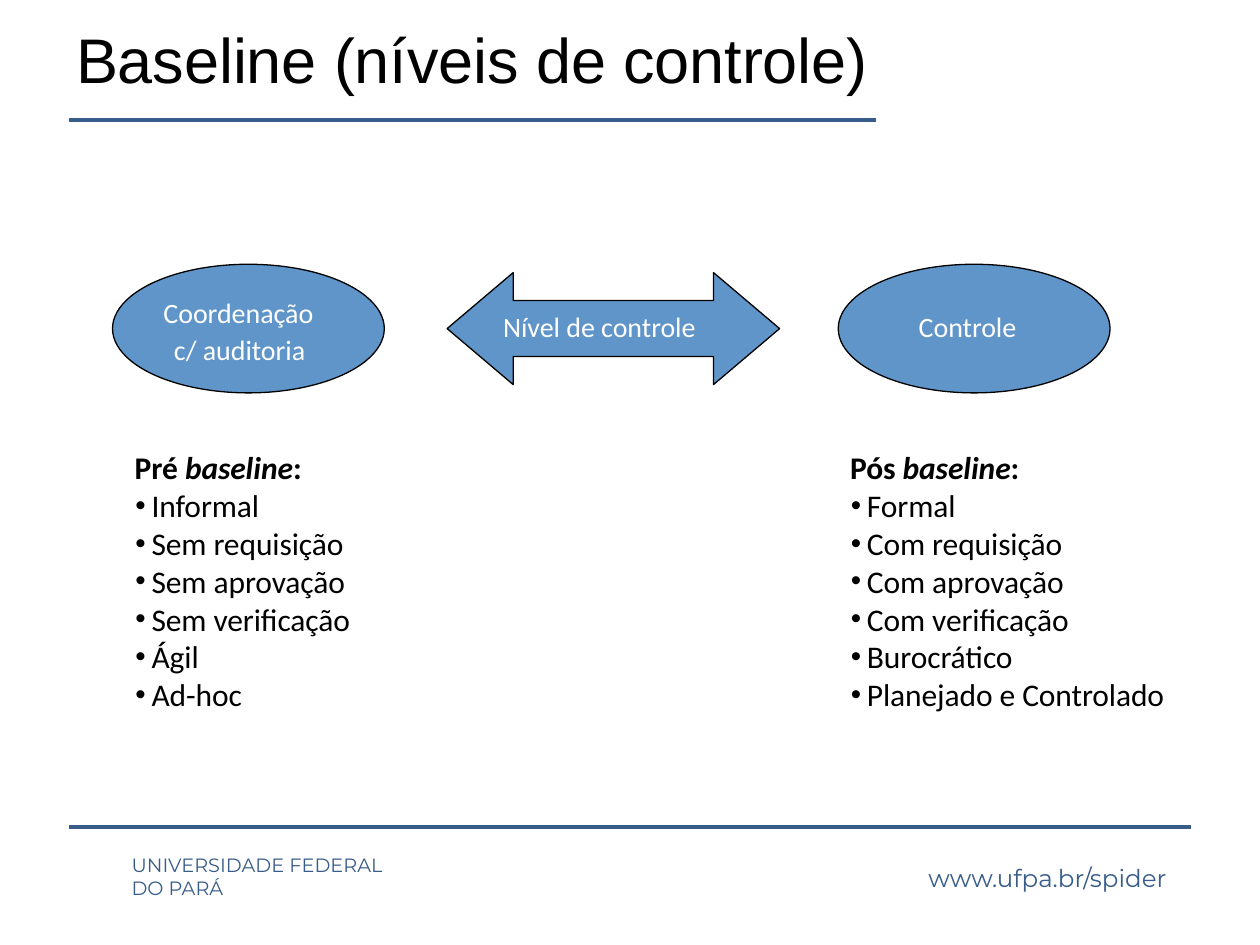
from dataclasses import dataclass

from lxml.etree import SubElement
from pptx import Presentation
from pptx.dml.color import RGBColor
from pptx.enum.shapes import MSO_CONNECTOR, MSO_SHAPE
from pptx.enum.text import MSO_ANCHOR
from pptx.oxml.ns import qn
from pptx.util import Pt


@dataclass(frozen=True)
class Theme:
    ink: str = "000000"
    paper: str = "FFFFFF"
    rule: str = "385D8A"
    fill: str = "6095C9"
    head: str = "Arial"
    body: str = "Calibri"
    foot: str = "Montserrat"
    title: float = 36
    item: float = 18
    label: float = 16
    link: float = 14
    small: float = 11
    thick: float = 2.5
    thin: float = 0.75


class Deck:
    def __init__(self, theme):
        self.theme = theme
        self.file = Presentation()
        self.file.slide_width, self.file.slide_height = Pt(720), Pt(540)
        self.slide = self.file.slides.add_slide(self.file.slide_layouts[6])

    def rule(self, left, right, y):
        line = self.slide.shapes.add_connector(
            MSO_CONNECTOR.STRAIGHT, Pt(left), Pt(y), Pt(right), Pt(y))
        line.line.color.rgb = RGBColor.from_string(self.theme.rule)
        line.line.width = Pt(self.theme.thick)
        SubElement(line._element.spPr, qn("a:effectLst"))

    def shape(self, kind, left, top, width, height):
        shape = self.slide.shapes.add_shape(
            kind, Pt(left), Pt(top), Pt(width), Pt(height))
        shape.shadow.inherit = False
        shape.fill.solid()
        shape.fill.fore_color.rgb = RGBColor.from_string(self.theme.fill)
        shape.line.color.rgb = RGBColor.from_string(self.theme.ink)
        shape.line.width = Pt(self.theme.thin)
        return shape

    def style(self, run, face, size, color, track=0):
        """Format a run; track is letter spacing in points."""
        run.font.name = face
        run.font.size = Pt(size)
        run.font.color.rgb = RGBColor.from_string(color)
        if track:
            run.font._element.set("spc", str(round(track * 100)))

    def text(self, words, left, top, width, height, face, size, color,
             anchor=MSO_ANCHOR.TOP, track=0):
        box = self.slide.shapes.add_textbox(
            Pt(left), Pt(top), Pt(width), Pt(height))
        frame = box.text_frame
        frame.word_wrap = True
        frame.vertical_anchor = anchor
        frame.margin_left = frame.margin_right = 0
        frame.margin_top = frame.margin_bottom = 0
        frame.text = words
        for para in frame.paragraphs:
            for run in para.runs:
                self.style(run, face, size, color, track)
        return frame

    def label(self, words, left, top, width, height):
        theme = self.theme
        return self.text(words, left, top, width, height, theme.body,
                         theme.label, theme.paper, MSO_ANCHOR.MIDDLE)

    def indent(self, para, left, hang):
        props = para._p.get_or_add_pPr()
        props.set("marL", str(Pt(left)))
        props.set("indent", str(Pt(-hang)))
        return props

    def points(self, lead, items, left, top, width, height):
        """Add a bold heading that ends in an italic term, with bullets below."""
        theme = self.theme
        frame = self.text("\n".join(["", *items]), left, top, width, height,
                          theme.body, theme.item, theme.ink, track=-0.05)
        first, *rest = frame.paragraphs
        for words in (lead, "baseline", ":"):
            run = first.add_run()
            run.text = words
            self.style(run, theme.body, theme.item, theme.ink, -0.05)
            run.font.bold = True
            run.font.italic = words == "baseline"
        for para in rest:
            props = self.indent(para, 9.6, 9.2)
            SubElement(props, qn("a:buSzPct"), val="94000")
            SubElement(props, qn("a:buFont"), typeface=theme.head)
            SubElement(props, qn("a:buChar"), char="•")
        for para in frame.paragraphs:
            para.line_spacing = Pt(21.6)


def main():
    theme = Theme()
    deck = Deck(theme)

    deck.text("Baseline (níveis de controle)", 43.5, 0, 520, 67,
              theme.head, theme.title, theme.ink, MSO_ANCHOR.MIDDLE, -0.05)
    deck.rule(39.5, 500.5, 68.5)

    for left in (64.3, 479):
        deck.shape(MSO_SHAPE.OVAL, left, 151, 155.3, 73.5)
    arrow = deck.shape(MSO_SHAPE.LEFT_RIGHT_ARROW, 255.5, 155.8, 190, 64)
    arrow.adjustments[0] = 0.5
    arrow.adjustments[1] = 0.59

    left = deck.label("Coordenação\vc/ auditoria", 92.2, 166.2, 99, 44)
    left.paragraphs[0].line_spacing = Pt(21)
    deck.indent(left.paragraphs[0], 7.2, 6)
    deck.label("Nível de controle", 287.5, 176.5, 127, 20)
    deck.label("Controle", 525, 176.5, 66, 20)

    steps = ["requisição", "aprovação", "veriﬁcação"]
    deck.points("Pré ", ["Informal", *(f"Sem {step}" for step in steps),
                         "Ágil", "Ad-hoc"], 77, 256.2, 148, 151)
    deck.points("Pós ", ["Formal", *(f"Com {step}" for step in steps),
                         "Burocrático", "Planejado e Controlado"],
                485.8, 256.2, 190, 151)

    deck.rule(39.5, 680.5, 472.5)
    deck.text("UNIVERSIDADE FEDERAL\nDO PARÁ", 75.2, 487.5, 160, 28,
              theme.foot, theme.small, theme.rule)
    deck.text("www.ufpa.br/spider", 530.5, 493, 155, 18,
              theme.foot, theme.link, theme.rule)

    deck.file.save("out.pptx")


if __name__ == "__main__":
    main()
